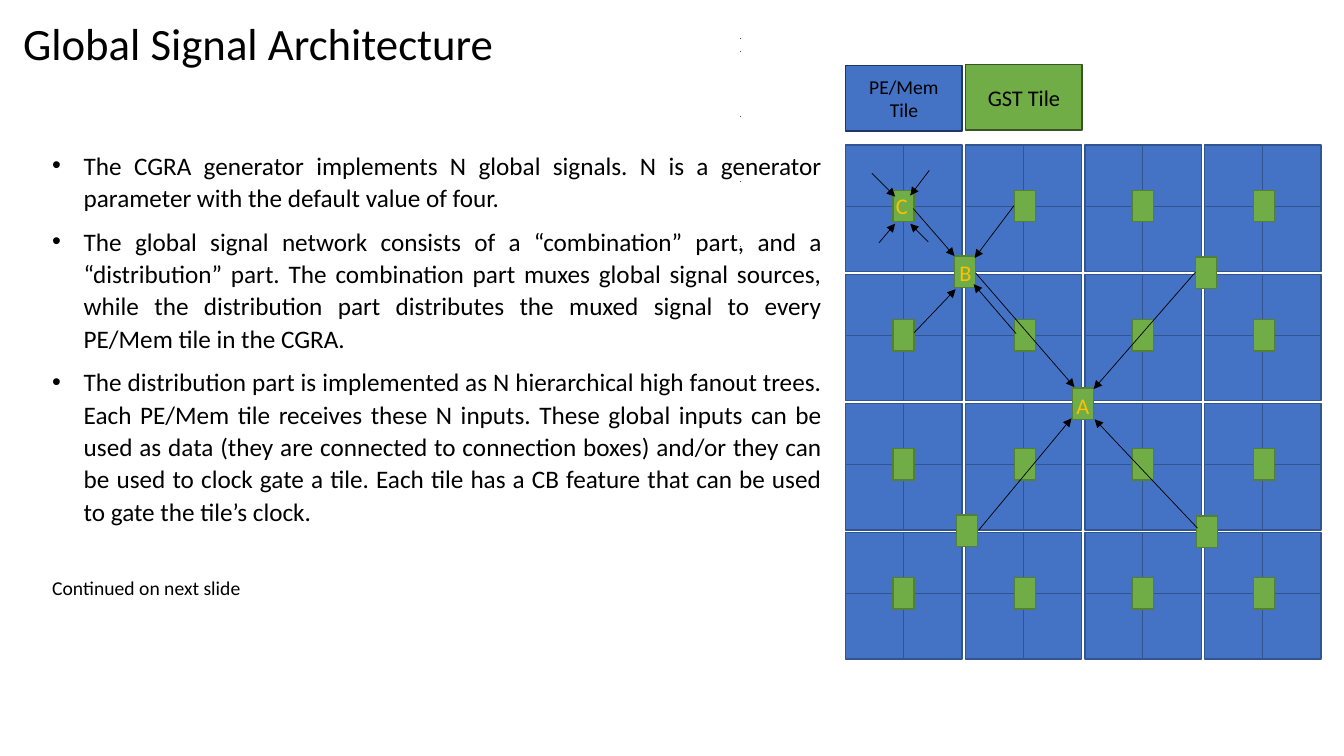
from itertools import product
from lxml import etree
from pptx import Presentation
from pptx.dml.color import RGBColor
from pptx.enum.shapes import MSO_CONNECTOR, MSO_SHAPE
from pptx.enum.text import MSO_ANCHOR, PP_ALIGN
from pptx.oxml.ns import qn
from pptx.util import Pt

RECT = MSO_SHAPE.RECTANGLE
STRAIGHT = MSO_CONNECTOR.STRAIGHT
LEFT, CENTER, JUSTIFY = PP_ALIGN.LEFT, PP_ALIGN.CENTER, PP_ALIGN.JUSTIFY
TOP, MIDDLE = MSO_ANCHOR.TOP, MSO_ANCHOR.MIDDLE
BLACK, BLUE, GREEN, GOLD = "000000", "4472C4", "70AD47", "FFC000"
NAVY, MOSS = "325491", "538035"


def paint(fill, color):
    fill.solid()
    fill.fore_color.rgb = RGBColor.from_string(color)


def write(shape, text, size=18, color=BLACK, align=LEFT, anchor=TOP,
          bullet=False, before=0, after=0, spacing=1.0):
    frame = shape.text_frame
    frame.word_wrap = True
    frame.vertical_anchor = anchor
    para = frame.add_paragraph() if frame.text else frame.paragraphs[0]
    para.alignment = align
    para.line_spacing = spacing
    para.space_before, para.space_after = Pt(before), Pt(after)
    if bullet:
        props = para._p.get_or_add_pPr()
        props.set("marL", str(Pt(22.5)))
        props.set("indent", str(Pt(-22.5)))
        etree.SubElement(props, qn("a:buFont")).set("typeface", "Arial")
        etree.SubElement(props, qn("a:buChar")).set("char", "•")
    run = para.add_run()
    run.text = text
    run.font.name, run.font.size = "Calibri", Pt(size)
    paint(run.font.fill, color)


deck = Presentation()
deck.slide_width, deck.slide_height = Pt(960), Pt(540)
slide = deck.slides.add_slide(deck.slide_layouts[6])
shapes = slide.shapes

body = shapes.add_textbox(Pt(30.2), Pt(102.2), Pt(564), Pt(332.6))
points = [
    "The CGRA generator implements N global signals. N is a generator "
    "parameter with the default value of four.",
    "The global signal network consists of a “combination” part, and a "
    "“distribution” part. The combination part muxes global signal sources, "
    "while the distribution part distributes the muxed signal to every "
    "PE/Mem tile in the CGRA.",
    "The distribution part is implemented as N hierarchical high fanout "
    "trees. Each PE/Mem tile receives these N inputs. These global inputs "
    "can be used as data (they are connected to connection boxes) and/or "
    "they can be used to clock gate a tile. Each tile has a CB feature that "
    "can be used to gate the tile’s clock.",
]
for point in points:
    write(body, point, align=JUSTIFY, bullet=True, after=8, spacing=1.07)
write(body, "Continued on next slide", size=14, align=JUSTIFY,
      before=26.3, after=8, spacing=1.07)

tiles, gates = [], []
for row, col in product(range(4), repeat=2):
    left, top = 604.1 + 85.4 * col, 103.7 + 92.2 * row
    for down, over in product(range(2), repeat=2):
        tiles.append((left + 41.4 * over, top + 43.6 * down,
                      41.8, 46.8, BLUE, NAVY, 1))
    gates.append((left + 33.8 + col % 2 * 1.4, top + 32.4))
hubs = [(681.8, 182.9), (853.9, 183.6), (854.6, 368.6),
        (683.3, 367.9), (766.1, 277.2)]
nodes = [(left, top, 15.1, 22.3, GREEN, MOSS, 1)
         for left, top in gates + hubs]
dots = [(529.2, top, 0, 0, BLUE, BLACK, 0.75)
        for top in (27.4, 36.7, 83.5, 129.6, 176.4)]

for left, top, width, height, fill, edge, weight in tiles + nodes + dots:
    box = shapes.add_shape(RECT, Pt(left), Pt(top), Pt(width), Pt(height))
    box.shadow.inherit = False
    paint(box.fill, fill)
    paint(box.line.fill, edge)
    box.line.width = Pt(weight)

arrows = [
    (622.8, 123.8, 639.4, 140.4), (663.8, 121.7, 650.2, 139.7),
    (663.1, 172.8, 650.2, 159.8), (627.8, 173.5, 639.4, 159.8),
    (652.3, 149, 681.8, 182.9), (724.3, 146.9, 696.2, 184.3),
    (725.8, 238.3, 695.5, 203), (653, 237.6, 682.6, 206.6),
    (697, 195.1, 767.5, 276.5), (853.9, 194.4, 781.2, 277.9),
    (855.4, 377.3, 781.9, 299.5), (699.1, 378.7, 765.4, 298.8),
]
for ends in arrows:
    arrow = shapes.add_connector(STRAIGHT, *[Pt(end) for end in ends])
    paint(arrow.line.fill, BLACK)
    arrow.line.width = Pt(0.5)
    tip = etree.SubElement(arrow.line._get_or_add_ln(), qn("a:tailEnd"))
    tip.set("type", "triangle")
    etree.SubElement(arrow._element.spPr, qn("a:effectLst"))

keys = [("PE/Mem Tile", 604.1, 46.8, 14, BLUE, "1F3763"),
        ("GST Tile", 689.8, 46.1, 16, GREEN, "375623")]
for name, left, top, size, fill, edge in keys:
    key = shapes.add_shape(RECT, Pt(left), Pt(top), Pt(83.2), Pt(46.8))
    key.shadow.inherit = False
    paint(key.fill, fill)
    paint(key.line.fill, edge)
    key.line.width = Pt(1)
    write(key, name, size=size, align=CENTER, anchor=MIDDLE)

for mark, left, top, spacing in [("A", 761.8, 276.5, 1.0),
                                 ("B", 678.2, 180, 1.07),
                                 ("C", 632.9, 133.9, 1.0)]:
    label = shapes.add_textbox(Pt(left), Pt(top), Pt(21.6), Pt(28.8))
    write(label, mark, size=16, color=GOLD, spacing=spacing)

title = shapes.add_textbox(Pt(9.4), Pt(7.9), Pt(470.9), Pt(46.1))
write(title, "Global Signal Architecture", size=32)

deck.save("out.pptx")
